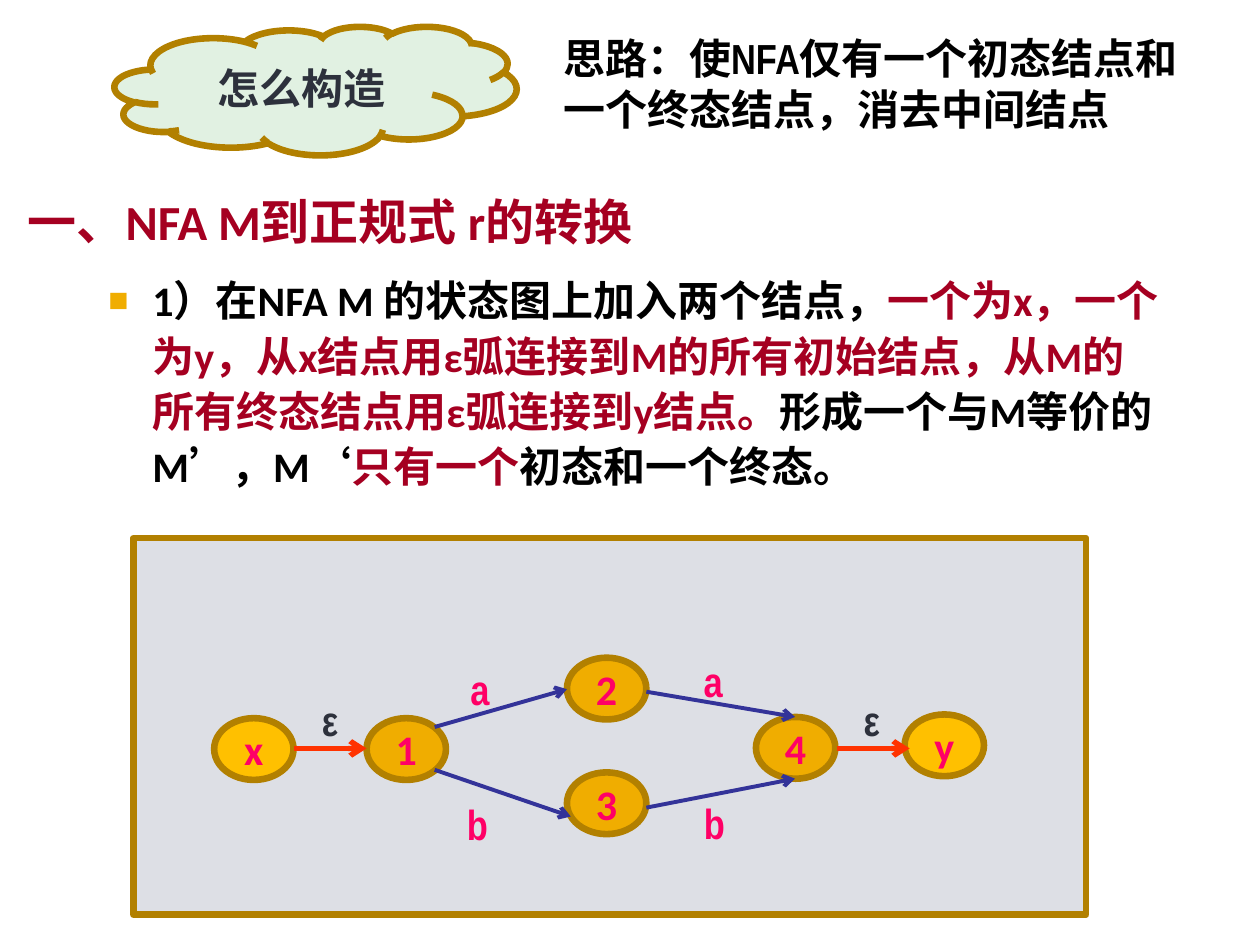
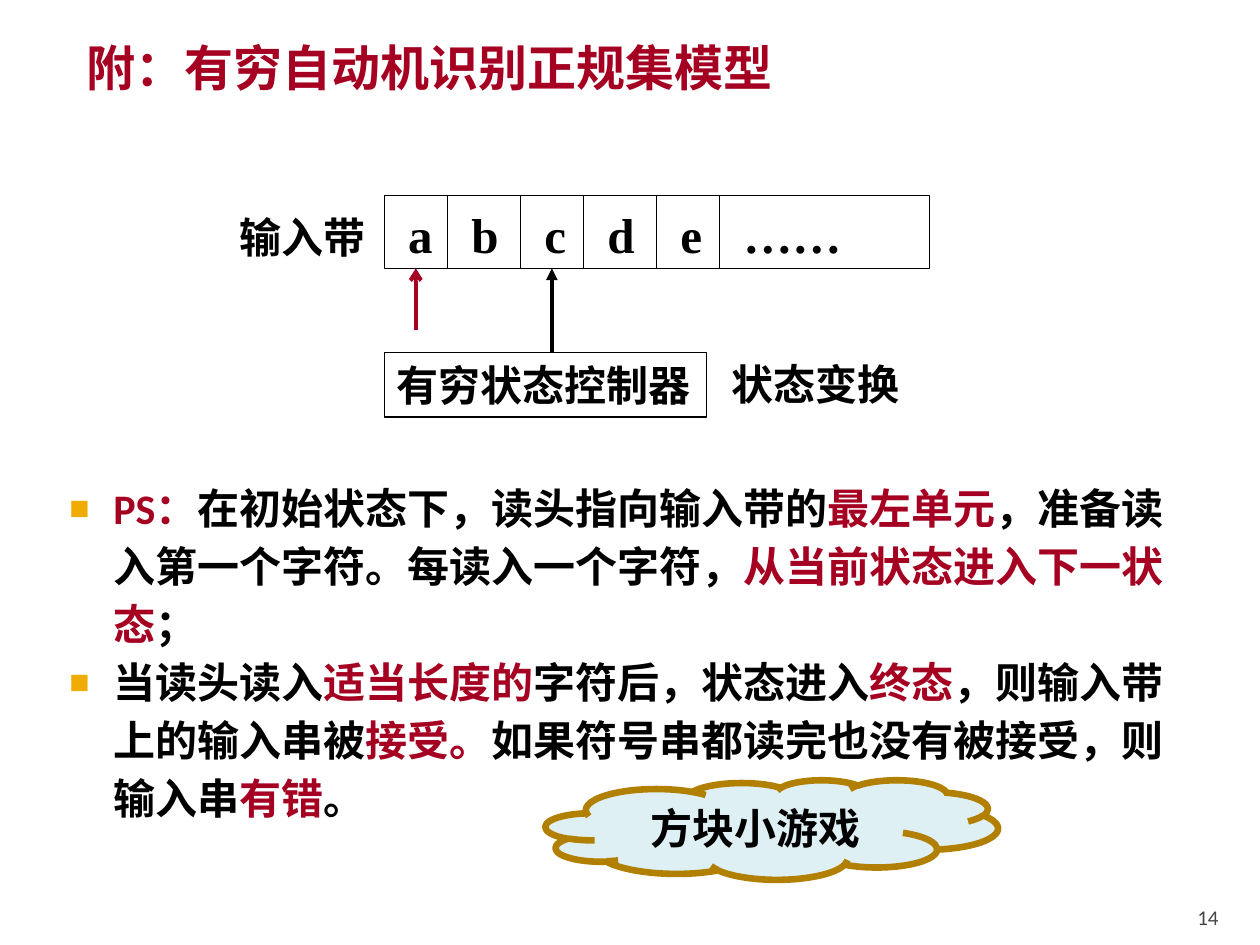
from lxml import etree
from pptx import Presentation
from pptx.dml.color import RGBColor
from pptx.enum.shapes import MSO_CONNECTOR, MSO_SHAPE
from pptx.enum.text import MSO_ANCHOR, MSO_AUTO_SIZE, PP_ALIGN
from pptx.oxml.ns import qn
from pptx.util import Inches, Pt

LEFT, CENTER, RIGHT = PP_ALIGN.LEFT, PP_ALIGN.CENTER, PP_ALIGN.RIGHT
TOP, MIDDLE, BOTTOM = MSO_ANCHOR.TOP, MSO_ANCHOR.MIDDLE, MSO_ANCHOR.BOTTOM
RECT, OVAL, CLOUD = MSO_SHAPE.RECTANGLE, MSO_SHAPE.OVAL, MSO_SHAPE.CLOUD
STRAIGHT = MSO_CONNECTOR.STRAIGHT

# Shared look
RED, BLACK, DARK, GREY = "A50021", "000000", "2D313C", "454545"
PINK, BLUE, ORANGE = "FF0066", "333399", "FF3300"
GOLD, AMBER, BROWN = "F0AD00", "FFC000", "B28000"
PANEL, MINT, SKY = "DDDFE5", "E1F1E2", "DFF0F5"
SANS, NARROW, SERIF = "Calibri", "Arial Narrow", "Times New Roman"
OUTLINE = 3.78
HEADING_INSETS = (0.1, 0.05, 0.05, 0.05)
BODY_INSETS = (0.06, 0.1, 0.1, 0.05)
PLAIN_INSETS = (0.1, 0.05, 0.1, 0.05)
TIGHT_INSETS = (0, 0.05, 0, 0.05)

# Slide 1 content
CONVERSION_TITLE = "一、NFA M到正规式 r的转换"
QUESTION = "怎么构造"
IDEA = "思路：使NFA仅有一个初态结点和一个终态结点，消去中间结点"
CONVERSION_STEPS = [[
    ("1）在NFA M 的状态图上加入两个结点，", BLACK),
    ("一个为x，一个为y，从x结点用ε弧连接到M的所有初始结点，"
     "从M的所有终态结点用ε弧连接到y结点。", RED),
    ("形成一个与M等价的M’，M‘", BLACK),
    ("只有一个", RED),
    ("初态和一个终态。", BLACK),
]]
NODE_SIZE = (0.63, 0.49)
STATES = [  # name, left, top, fill
    ("1", 2.91, 5.7, GOLD), ("2", 4.5, 5.22, GOLD),
    ("3", 4.5, 6.13, GOLD), ("4", 6, 5.69, GOLD),
    ("x", 1.7, 5.7, AMBER), ("y", 7.18, 5.67, AMBER),
]
LABEL_SIZE = (0.34, 0.5)
ARCS = [  # symbol, label left and top, start, end
    ("a", (3.64, 5.22), (3.45, 5.77), (4.5, 5.47)),
    ("b", (3.62, 6.29), (3.45, 6.11), (4.53, 6.48)),
    ("b", (5.5, 6.28), (5.13, 6.41), (6.31, 6.18)),
    ("a", (5.49, 5.15), (5.13, 5.49), (6.31, 5.69)),
    ("ε", (2.45, 5.46), (2.33, 5.94), (2.91, 5.94)),
    ("ε", (6.75, 5.46), (6.64, 5.94), (7.22, 5.94)),
]

# Slide 2 content
MODEL_TITLE = "附：有穷自动机识别正规集模型"
TAPE_LEFT, TAPE_TOP, TAPE_HEIGHT = 3.05, 1.55, 0.58
TAPE = [("a", 0.5), ("b", 0.58), ("c", 0.5), ("d", 0.58), ("e", 0.5),
        ("……", 1.67)]
CONTROLLER = ("有穷状态控制器", (3.05, 2.8, 2.56, 0.51))
MODEL_LABELS = [("输入带", (1.8, 1.63, 1.33, 0.5)),
                ("状态变换", (5.71, 2.8, 1.75, 0.5))]
MODEL_NOTES = [
    [("PS：", RED), ("在初始状态下，读头指向输入带的", BLACK),
     ("最左单元", RED), ("，准备读入第一个字符。每读入一个字符，", BLACK),
     ("从当前状态进入下一状态", RED), ("；", BLACK)],
    [("当读头读入", BLACK), ("适当长度的", RED),
     ("字符后，状态进入", BLACK), ("终态", RED),
     ("，则输入带上的输入串被", BLACK), ("接受。", RED),
     ("如果符号串都读完也没有被接受，则输入串", BLACK),
     ("有错", RED), ("。", BLACK)],
]
GAME = "方块小游戏"
PAGE_NUMBER = "14"


def rgb(color):
    return RGBColor.from_string(color)


def inches(values):
    return [Inches(value) for value in values]


def add_bullet(paragraph):
    props = paragraph._p.get_or_add_pPr()
    props.set("marL", str(Inches(0.48)))
    props.set("indent", str(Inches(-0.35)))
    color = etree.SubElement(props, qn("a:buClr"))
    etree.SubElement(color, qn("a:srgbClr"), val=GOLD)
    etree.SubElement(props, qn("a:buSzPct"), val="80000")
    etree.SubElement(props, qn("a:buFont"), typeface="Arial")
    etree.SubElement(props, qn("a:buChar"), char="■")


def write(holder, text, *, size=24, font=SANS, color=BLACK, bold=True,
          align=LEFT, anchor=TOP, insets=PLAIN_INSETS, spacing=None,
          bullet=False):
    """Fill a holder with a string or with paragraphs of (text, colour) runs."""
    frame = holder.text_frame
    frame.word_wrap = True
    frame.auto_size = MSO_AUTO_SIZE.NONE
    frame.vertical_anchor = anchor
    (frame.margin_left, frame.margin_top,
     frame.margin_right, frame.margin_bottom) = inches(insets)
    paragraphs = [[(text, color)]] if isinstance(text, str) else text
    for index, runs in enumerate(paragraphs):
        paragraph = frame.add_paragraph() if index else frame.paragraphs[0]
        paragraph.alignment = align
        paragraph.space_before = Pt(0)
        if spacing:
            paragraph.line_spacing = spacing
        if bullet:
            add_bullet(paragraph)
        for words, run_color in runs:
            run = paragraph.add_run()
            run.text = words
            run.font.size = Pt(size)
            run.font.name = font
            run.font.bold = bold
            run.font.color.rgb = rgb(run_color)


def place(holder, box):
    holder.left, holder.top, holder.width, holder.height = inches(box)


def add_text(slide, text, box, **style):
    write(slide.shapes.add_textbox(*inches(box)), text, **style)


def add_figure(slide, kind, box, text="", fill=None, line=BROWN,
               width=OUTLINE, **style):
    figure = slide.shapes.add_shape(kind, *inches(box))
    figure.shadow.inherit = False
    if fill:
        figure.fill.solid()
        figure.fill.fore_color.rgb = rgb(fill)
    else:
        figure.fill.background()
    figure.line.color.rgb = rgb(line)
    figure.line.width = Pt(width)
    if text:
        write(figure, text, anchor=MIDDLE, **style)
    return figure


def add_arrow(slide, start, end, color, width=2.25, head="arrow"):
    arrow = slide.shapes.add_connector(STRAIGHT, *inches(start + end))
    arrow.line.color.rgb = rgb(color)
    arrow.line.width = Pt(width)
    etree.SubElement(arrow.line._get_or_add_ln(), qn("a:tailEnd"), type=head)
    etree.SubElement(arrow._element.spPr, qn("a:effectLst"))
    return arrow


def add_slide(deck, title, title_box, title_anchor, body, body_box, spacing):
    slide = deck.slides.add_slide(deck.slide_layouts[1])
    heading, notes = slide.shapes.title, slide.placeholders[1]
    place(heading, title_box)
    write(heading, title, size=28, color=RED, anchor=title_anchor,
          insets=HEADING_INSETS)
    place(notes, body_box)
    write(notes, body, insets=BODY_INSETS, spacing=spacing, bullet=True)
    return slide


def build_conversion(deck):
    slide = add_slide(deck, CONVERSION_TITLE, (0.12, 1.23, 8.5, 1.04), MIDDLE,
                      CONVERSION_STEPS, (0.67, 2.04, 8.66, 2.38), 1.1)
    add_figure(slide, CLOUD, (0.91, 0.21, 3.19, 1.02), QUESTION, fill=MINT,
               color=DARK, align=CENTER)
    add_text(slide, IDEA, (4.37, 0.21, 5.12, 0.91), font=NARROW)

    # State diagram
    add_figure(slide, RECT, (1.06, 4.27, 7.56, 2.99), fill=PANEL)
    for name, left, top, fill in STATES:
        add_figure(slide, OVAL, (left, top, *NODE_SIZE), name, fill=fill,
                   color=PINK, align=CENTER, insets=TIGHT_INSETS)
    for symbol, corner, start, end in ARCS:
        empty_move = symbol == "ε"
        add_arrow(slide, start, end, ORANGE if empty_move else BLUE,
                  width=3 if empty_move else 2.25)
        add_text(slide, symbol, corner + LABEL_SIZE, font=NARROW,
                 color=DARK if empty_move else PINK, align=CENTER,
                 insets=TIGHT_INSETS)


def build_model(deck):
    slide = add_slide(deck, MODEL_TITLE, (0.59, 0.25, 9, 1.14), TOP,
                      MODEL_NOTES, (0.36, 3.67, 9.13, 3), 1.15)

    # Input tape
    cells, left = {}, TAPE_LEFT
    for symbol, width in TAPE:
        cells[symbol] = add_figure(
            slide, RECT, (left, TAPE_TOP, width, TAPE_HEIGHT), symbol,
            line=BLACK, width=0.75, size=28, font=SERIF,
            insets=(0.19, 0.08, 0, 0.05))
        left += width

    # Controller and reading heads
    name, box = CONTROLLER
    add_figure(slide, RECT, box, name, line=BLACK, width=0.75, font=SERIF)
    for label, box in MODEL_LABELS:
        add_text(slide, label, box, font=SERIF)
    current_head = add_arrow(slide, (4.38, 2.8), (4.38, 2.13), BLACK,
                             head="triangle")
    current_head.end_connect(cells["c"], 2)
    first_head = add_arrow(slide, (3.3, 2.62), (3.3, 2.13), RED)
    first_head.end_connect(cells["a"], 2)

    add_figure(slide, CLOUD, (4.33, 6.19, 3.59, 0.79), GAME, fill=SKY,
               align=CENTER)
    add_text(slide, PAGE_NUMBER, (8.97, 7.08, 0.8, 0.3), size=12, color=GREY,
             bold=False, align=RIGHT, anchor=BOTTOM,
             insets=(0.1, 0.05, 0.1, 0))


def main():
    deck = Presentation()
    deck.slide_width, deck.slide_height = Inches(10), Inches(7.5)
    build_conversion(deck)
    build_model(deck)
    deck.save("out.pptx")


if __name__ == "__main__":
    main()
